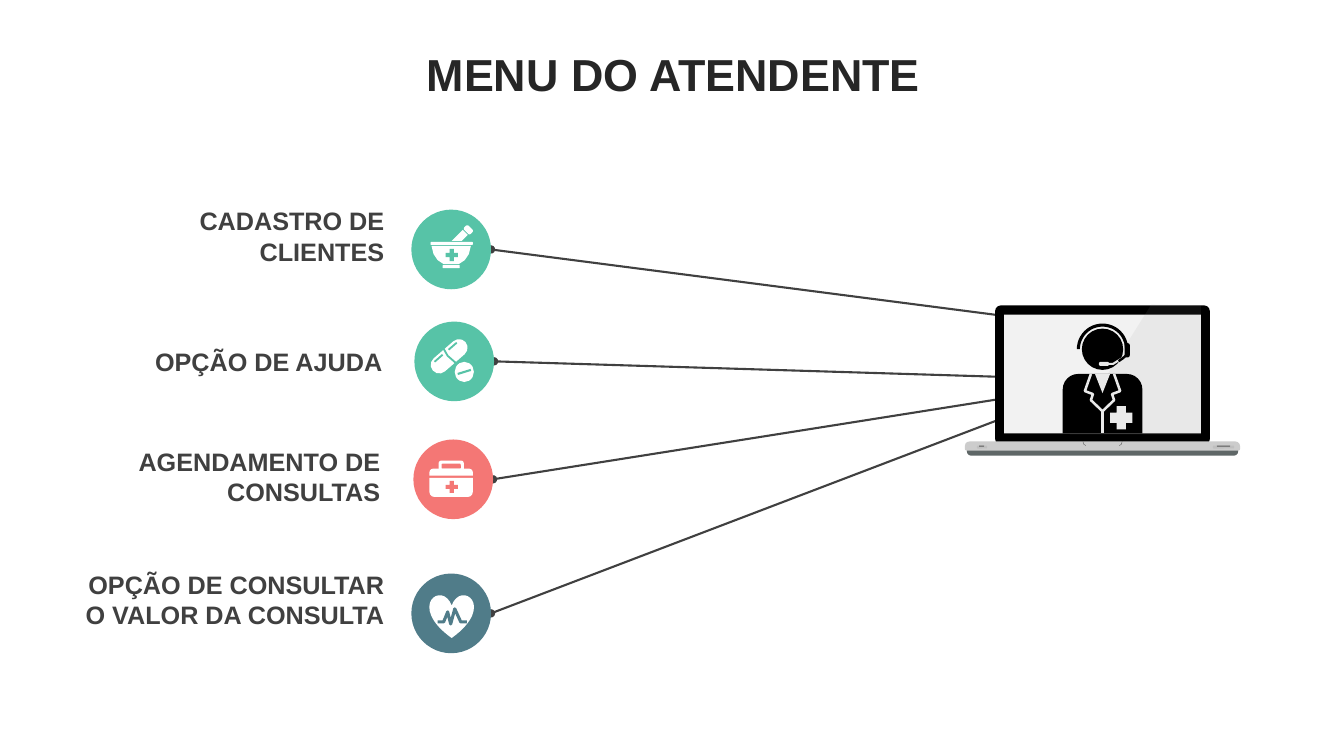
from pptx import Presentation
from pptx.dml.color import RGBColor
from pptx.enum.shapes import MSO_CONNECTOR, MSO_SHAPE
from pptx.enum.text import MSO_ANCHOR, PP_ALIGN
from pptx.oxml.ns import qn
from pptx.util import Inches, Pt
from lxml.etree import SubElement

COLORS = {
    "title": "262626", "text": "404040", "green": "57C3A7", "coral": "F47775",
    "slate": "507C89", "white": "FFFFFF", "black": "000000", "screen": "F2F2F2",
    "gap": "E9E9E9", "base": "CCCCCC", "base_shadow": "5F6767", "notch": "4D4D4D",
    "slot": "BFBFBF", "slot_core": "595959", "glare": "999999",
}
COLORS = {name: RGBColor.from_string(value) for name, value in COLORS.items()}

presentation = Presentation()
presentation.slide_width = Inches(13.33)
presentation.slide_height = Inches(7.5)
slide = presentation.slides.add_slide(presentation.slide_layouts[6])


def add_preset(kind, left, top, width, height, color, adjustments=(), rotation=0):
    shape = slide.shapes.add_shape(kind, Inches(left), Inches(top), Inches(width), Inches(height))
    for index, value in enumerate(adjustments):
        shape.adjustments[index] = value
    shape.rotation = rotation
    shape.shadow.inherit = False
    shape.fill.solid()
    shape.fill.fore_color.rgb = COLORS[color]
    shape.line.fill.background()


def add_outline(contours, color, stroke=None):
    """Filled polygons, or open lines when a stroke width is given."""
    contours = [[(Inches(x), Inches(y)) for x, y in contour] for contour in contours]
    builder = slide.shapes.build_freeform(*contours[0][0])
    for index, contour in enumerate(contours):
        if index:
            builder.move_to(*contour[0])
        builder.add_line_segments(contour[1:], close=stroke is None)
    shape = builder.convert_to_shape()
    shape.shadow.inherit = False
    if stroke is None:
        shape.fill.solid()
        shape.fill.fore_color.rgb = COLORS[color]
        shape.line.fill.background()
    else:
        shape.fill.background()
        shape.line.color.rgb = COLORS[color]
        shape.line.width = Pt(stroke)
    return shape


# Menu: label, label box, alignment, circle corner and colour, line end
DIAMETER = 0.79
menu = [
    ("CADASTRO DE CLIENTES", (0.66, 1.99, 3.25, 0.71), PP_ALIGN.RIGHT,
     (4.08, 2.08), "green", (10.93, 3.26)),
    ("OPÇÃO DE AJUDA", (1.44, 3.39, 3, 0.4), PP_ALIGN.LEFT,
     (4.11, 3.19), "green", (10.94, 3.77)),
    ("AGENDAMENTO DE CONSULTAS", (0.62, 4.38, 3.25, 0.71), PP_ALIGN.RIGHT,
     (4.1, 4.36), "coral", (10.54, 3.86)),
    ("OPÇÃO DE CONSULTAR O VALOR DA CONSULTA", (0.66, 5.6, 3.25, 0.71), PP_ALIGN.RIGHT,
     (4.08, 5.69), "slate", (10.94, 3.77)),
]

# Lines from the circles to the laptop
for label, box, alignment, (left, top), color, (end_x, end_y) in menu:
    connector = slide.shapes.add_connector(
        MSO_CONNECTOR.STRAIGHT, Inches(left + DIAMETER), Inches(top + DIAMETER / 2),
        Inches(end_x), Inches(end_y))
    connector.line.color.rgb = COLORS["text"]
    connector.line.width = Pt(1.5)
    line = connector.line._get_or_add_ln()
    for end in ("a:headEnd", "a:tailEnd"):
        SubElement(line, qn(end), type="oval")
    SubElement(connector._element.spPr, qn("a:effectLst"))

# Circles
for label, box, alignment, (left, top), color, end in menu:
    add_preset(MSO_SHAPE.OVAL, left, top, DIAMETER, DIAMETER, color)

# Title and labels
texts = [("MENU DO ATENDENTE", (0.35, 0.37, 12.66, 0.79), PP_ALIGN.CENTER, 32, "title")]
texts += [(label, box, alignment, 18, "text") for label, box, alignment, *circle in menu]
for text, box, alignment, size, color in texts:
    text_frame = slide.shapes.add_textbox(*[Inches(length) for length in box]).text_frame
    text_frame.word_wrap = True
    paragraph = text_frame.paragraphs[0]
    paragraph.text = text
    paragraph.alignment = alignment
    paragraph.font.name = "Arial"
    paragraph.font.size = Pt(size)
    paragraph.font.bold = True
    paragraph.font.color.rgb = COLORS[color]
    if color == "title":
        text_frame.vertical_anchor = MSO_ANCHOR.MIDDLE
        paragraph.line_spacing = 0.9
        paragraph.space_before = Pt(10)

# Laptop
ROUNDED = MSO_SHAPE.ROUNDED_RECTANGLE
TWO_ROUNDED = MSO_SHAPE.ROUND_2_SAME_RECTANGLE
add_preset(TWO_ROUNDED, 9.59, 4.44, 2.69, 0.08, "base_shadow", (0, 0.5))
add_preset(ROUNDED, 9.87, 3.03, 2.13, 1.38, "black", (0.04,))
add_preset(MSO_SHAPE.RECTANGLE, 9.96, 3.12, 1.95, 1.18, "screen")
add_preset(TWO_ROUNDED, 9.57, 4.38, 2.73, 0.09, "base", (0.5, 0.2))
add_outline([[(10.74, 4.38), (10.75, 4.41), (10.77, 4.42)],
             [(11.13, 4.38), (11.12, 4.41), (11.1, 4.42)]], "notch", 0.25)
for left, width, core_left, core_width in [(9.69, 0.1, 9.71, 0.05), (12.03, 0.21, 12.07, 0.13)]:
    add_preset(ROUNDED, left, 4.42, width, 0.03, "slot", (0.28,))
    add_preset(ROUNDED, core_left, 4.42, core_width, 0.01, "slot_core", (0.28,))
glare = add_outline([[(11.42, 3.02), (11.91, 3.03), (11.91, 4.31), (10.61, 4.31)]], "glare")
SubElement(glare._element.spPr.find(".//" + qn("a:srgbClr")), qn("a:alpha"), val="10000")

# Attendant: body with lapels and cross, then head with headset
CENTER = 10.935
add_preset(TWO_ROUNDED, 10.54, 3.71, 0.79, 0.59, "black", (0.26, 0))
left_lapel = [(10.82, 3.71), (10.76, 3.88), (10.84, 3.91), (10.82, 3.97), (CENTER, 4.08)]
right_lapel = [(2 * CENTER - x, y) for x, y in left_lapel]
add_outline([left_lapel, right_lapel, [(CENTER, 4.08), (CENTER, 4.3)]], "gap", 1.8)
add_outline([[(10.86, 3.71), (CENTER, 3.9), (11.01, 3.71)]], "gap")
add_preset(MSO_SHAPE.CROSS, 11.01, 4.03, 0.22, 0.23, "gap", (0.29,))
add_preset(MSO_SHAPE.OVAL, 10.73, 3.26, 0.41, 0.41, "black")
add_preset(ROUNDED, 10.9, 3.59, 0.1, 0.04, "gap", (0.4,))
add_outline([[(10.99, 3.61), (11.04, 3.61), (11.12, 3.56)]], "gap", 1.5)
add_preset(MSO_SHAPE.BLOCK_ARC, 10.68, 3.21, 0.51, 0.51, "black", (108, 215.41, 0.06))
add_preset(TWO_ROUNDED, 11.11, 3.45, 0.14, 0.05, "black", (0.4, 0), 90)
add_preset(MSO_SHAPE.BLOCK_ARC, 10.65, 3.02, 0.61, 0.61, "black", (24.82, 36.97, 0.04))

# Mortar icon
add_preset(ROUNDED, 4.39, 2.63, 0.17, 0.03, "white", (0.2,))
add_outline([[(4.28, 2.44), (4.67, 2.44), (4.65, 2.52), (4.61, 2.58),
              (4.55, 2.62), (4.4, 2.62), (4.34, 2.58), (4.3, 2.52)]], "white")
add_preset(MSO_SHAPE.CROSS, 4.42, 2.47, 0.12, 0.12, "green", (0.33,))
add_preset(ROUNDED, 4.27, 2.4, 0.42, 0.03, "white", (0.3,))
add_outline([[(4.59, 2.28), (4.64, 2.33), (4.58, 2.39), (4.48, 2.39)]], "white")
add_preset(ROUNDED, 4.6, 2.25, 0.09, 0.06, "white", (0.3,), 45)

# Pills icon
add_preset(ROUNDED, 4.24, 3.45, 0.43, 0.17, "white", (0.5,), -41)
add_outline([[(4.4, 3.46), (4.44, 3.53), (4.52, 3.6)],
             [(4.31, 3.59), (4.39, 3.52)], [(4.45, 3.47), (4.53, 3.4)]], "green", 1.3)
add_preset(MSO_SHAPE.OVAL, 4.51, 3.59, 0.19, 0.2, "white")
add_outline([[(4.54, 3.71), (4.67, 3.67)]], "green", 1.5)

# First aid case icon
add_preset(ROUNDED, 4.35, 4.57, 0.25, 0.13, "white", (0.2,))
add_preset(ROUNDED, 4.38, 4.6, 0.19, 0.05, "coral", (0.2,))
add_preset(TWO_ROUNDED, 4.26, 4.65, 0.43, 0.07, "white", (0.5, 0))
add_preset(TWO_ROUNDED, 4.26, 4.74, 0.43, 0.19, "white", (0, 0.26))
add_preset(MSO_SHAPE.CROSS, 4.42, 4.77, 0.12, 0.12, "coral", (0.33,))

# Heartbeat icon
add_preset(MSO_SHAPE.HEART, 4.26, 5.9, 0.44, 0.43, "white")
add_outline([[(4.34, 6.17), (4.4, 6.17), (4.44, 6.07), (4.47, 6.19), (4.51, 6.04),
              (4.57, 6.17), (4.63, 6.17)]], "slate", 2.2)

presentation.save("out.pptx")
